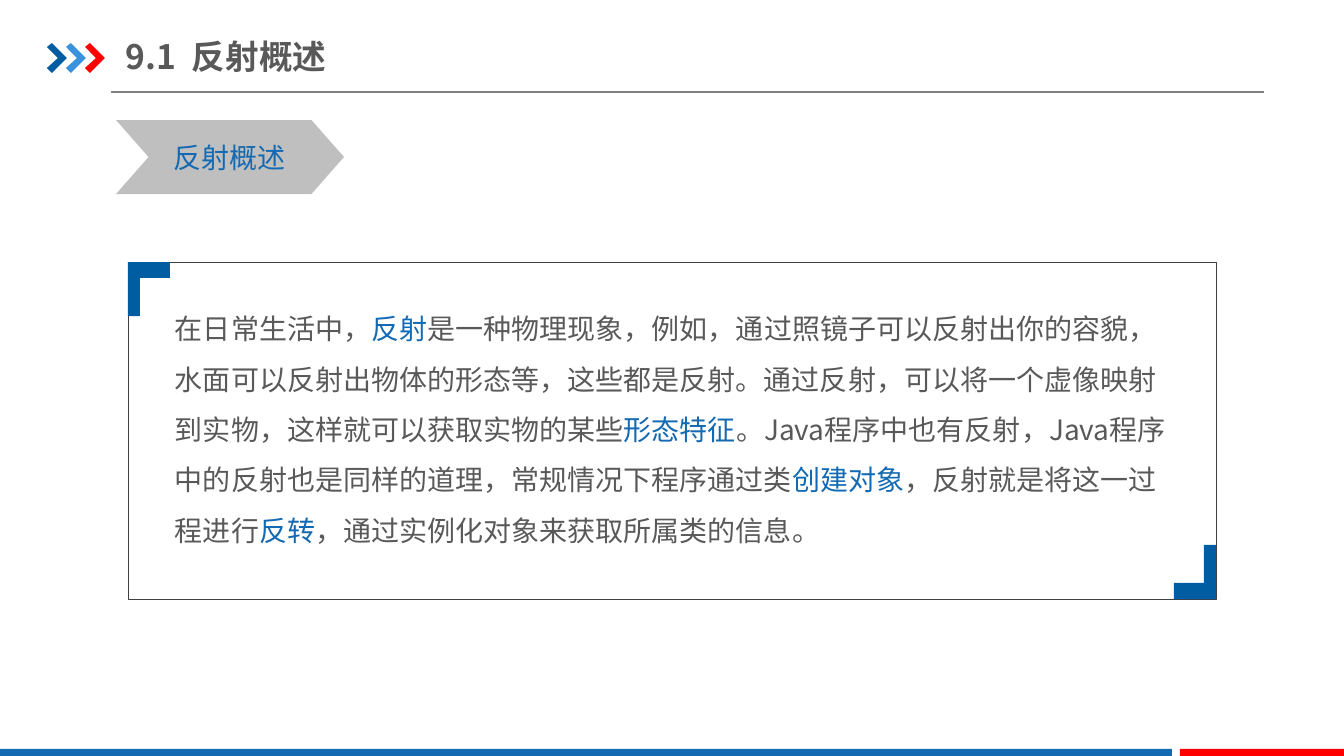
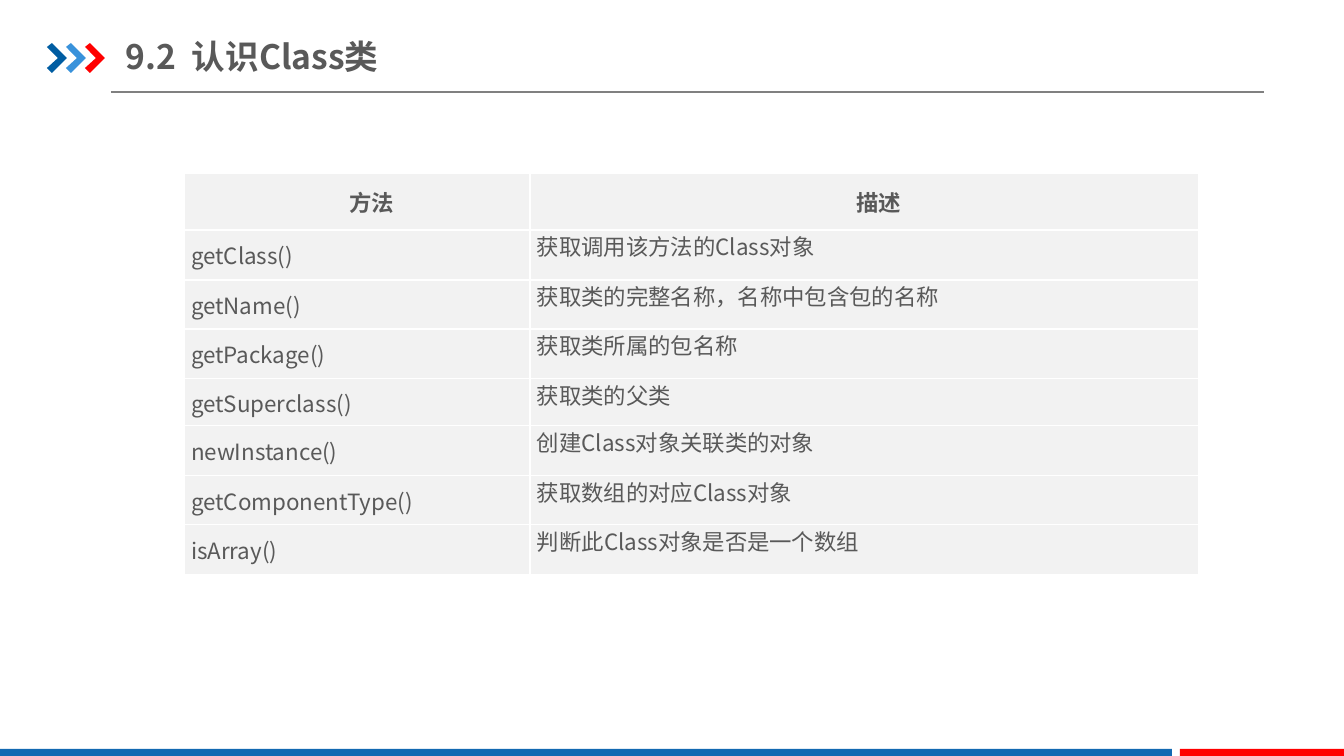
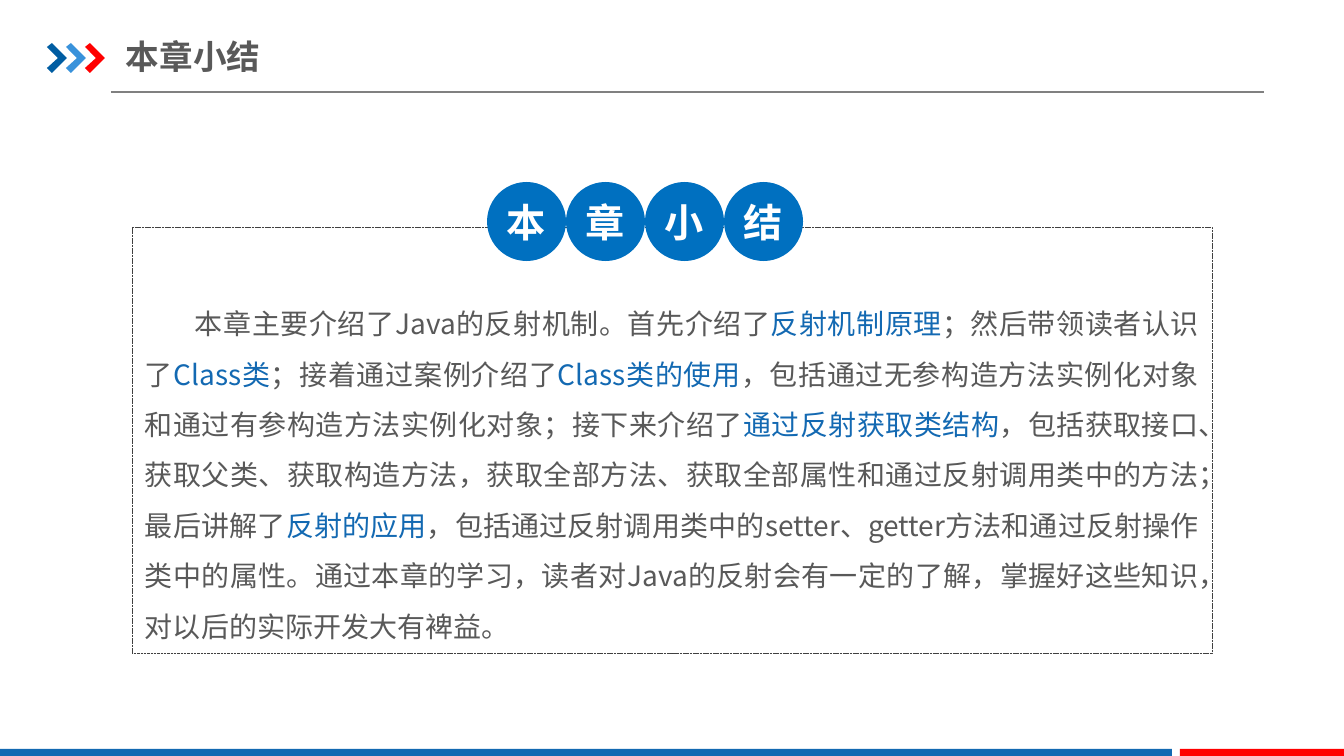
from pptx import Presentation, util as u
from pptx.dml.color import RGBColor
from pptx.enum import dml, shapes, text
from pptx.oxml.ns import qn
from lxml import etree

WIDE, HIGH = 1344, 756
UNIT = 12192000 / WIDE
FONT = "Noto Sans CJK SC"
GRAY, BLUE, NAVY, SKY = "595959", "1369B2", "005DA2", "3992DB"
RED, WHITE, DARK, PALE = "FF0000", "FFFFFF", "404040", "F2F2F2"
RULE, SILVER, DISC = "808080", "BFBFBF", "0070C0"
KIND = shapes.MSO_SHAPE
ALIGN, MID = text.PP_ALIGN, text.MSO_ANCHOR.MIDDLE

TITLES = ["9.1  反射概述", "9.2  认识Class类", "本章小结"]
BARS = [(0, 1172, BLUE), (1180, 164, RED)]
ARROW = [(0, 4), (5, 0), (20, 15), (5, 30), (0, 25), (11, 15)]
CORNER = [(0, 0), (42, 0), (42, 16), (12, 16), (12, 54), (0, 54)]

TOPIC = "反射概述"
INTRO = [
    "在日常生活中，", "反射",
    "是一种物理现象，例如，通过照镜子可以反射出你的容貌，水面可以反射出物体的形态等，"
    "这些都是反射。通过反射，可以将一个虚像映射到实物，这样就可以获取实物的某些",
    "形态特征",
    "。Java程序中也有反射，Java程序中的反射也是同样的道理，常规情况下程序通过类",
    "创建对象", "，反射就是将这一过程进行", "反转",
    "，通过实例化对象来获取所属类的信息。",
]
ROWS = [
    ("方法", "描述"),
    ("getClass()", "获取调用该方法的Class对象"),
    ("getName()", "获取类的完整名称，名称中包含包的名称"),
    ("getPackage()", "获取类所属的包名称"),
    ("getSuperclass()", "获取类的父类"),
    ("newInstance()", "创建Class对象关联类的对象"),
    ("getComponentType()", "获取数组的对应Class对象"),
    ("isArray()", "判断此Class对象是否是一个数组"),
]
COLS = [346, 669]
TALL = [57, 50, 49, 50, 47, 50, 49, 50]
BADGE = "本章小结"
RECAP = [
    "本章主要介绍了Java的反射机制。首先介绍了", "反射机制原理",
    "；然后带领读者认识了", "Class类",
    "；接着通过案例介绍了", "Class类的使用",
    "，包括通过无参构造方法实例化对象和通过有参构造方法实例化对象；接下来介绍了",
    "通过反射获取类结构",
    "，包括获取接口、获取父类、获取构造方法，获取全部方法、获取全部属性和通过反射调用类中的方法；"
    "最后讲解了",
    "反射的应用",
    "，包括通过反射调用类中的setter、getter方法和通过反射操作类中的属性。"
    "通过本章的学习，读者对Java的反射会有一定的了解，掌握好这些知识，对以后的实际开发大有裨益。",
]


def px(n):
    return u.Emu(round(n * UNIT))


def hue(code):
    return RGBColor.from_string(code)


def style(run, size, color=GRAY, bold=False):
    font = run.font
    font.size, font.bold, font.name = u.Pt(size), bold, FONT
    font.color.rgb = hue(color)
    east = etree.SubElement(run._r.get_or_add_rPr(), qn("a:ea"))
    east.set("typeface", FONT)


def inset(item, side, top):
    item.margin_left = item.margin_right = px(side)
    item.margin_top = item.margin_bottom = px(top)


def paint(shape, fill=None, line=None, dash=None):
    shape.shadow.inherit = False
    if fill:
        shape.fill.solid()
        shape.fill.fore_color.rgb = hue(fill)
    else:
        shape.fill.background()
    if line:
        shape.line.color.rgb = hue(line)
        shape.line.width = u.Pt(0.25)
        shape.line.dash_style = dash
    else:
        shape.line.fill.background()
    return shape


def block(slide, kind, box, *look):
    return paint(slide.shapes.add_shape(kind, *map(px, box)), *look)


def outline(slide, dots, fill):
    pen = slide.shapes.build_freeform(*dots[0], scale=UNIT)
    pen.add_line_segments(dots[1:], close=True)
    return paint(pen.convert_to_shape(), fill)


def label(shape, words, size, color, bold=False):
    frame = shape.text_frame
    frame.text = words
    frame.word_wrap = False
    frame.vertical_anchor = MID
    inset(frame, 0, 0)
    para = frame.paragraphs[0]
    para.alignment = ALIGN.CENTER
    style(para.runs[0], size, color, bold)


def indent(para, n):
    props = para._p.get_or_add_pPr()
    props.set("marL", "0")
    props.set("indent", str(px(n)))


def prose(slide, box, pads, parts):
    frame = slide.shapes.add_textbox(*map(px, box)).text_frame
    frame.word_wrap = True
    inset(frame, *pads)
    para = frame.paragraphs[0]
    para.line_spacing = 1.5
    for i, part in enumerate(parts):
        run = para.add_run()
        run.text = part
        style(run, 20, BLUE if i % 2 else GRAY)
    return para


def dress(slide, layout):
    rule = slide.shapes.add_connector(
        shapes.MSO_CONNECTOR.STRAIGHT, px(111), px(92), px(1264), px(92))
    rule.line.color.rgb = hue(RULE)
    rule.line.width = u.Pt(0.75)
    etree.SubElement(rule.element.spPr, qn("a:effectLst"))
    parts = [rule]
    for i, color in enumerate([NAVY, SKY, RED]):
        dots = [(47 + 19 * i + x, 43 + y) for x, y in ARROW]
        parts.append(outline(slide, dots, color))
    for x, w, color in BARS:
        parts.append(block(slide, KIND.RECTANGLE, (x, 749, w, HIGH - 749), color))
    for part in parts:
        layout.shapes.element.append(part.element)


def head(slide, words):
    title = slide.shapes.title
    title.left, title.top, title.width, title.height = map(px, (126, 29, 620, 55))
    frame = title.text_frame
    frame.text = words
    frame.auto_size = text.MSO_AUTO_SIZE.NONE
    frame.vertical_anchor = MID
    inset(frame, 0, 7)
    frame.paragraphs[0].alignment = ALIGN.LEFT
    style(frame.paragraphs[0].runs[0], 24, GRAY, True)


def intro(slide):
    tag = block(slide, KIND.CHEVRON, (116, 120, 228, 74), SILVER)
    tag.adjustments[0] = 0.44
    label(tag, TOPIC, 20, BLUE)
    prose(slide, (165, 290, 1016, 275), (10, 5), INTRO)
    x, y, w, h = box = 128, 262, 1088, 337
    block(slide, KIND.RECTANGLE, box, None, DARK)
    outline(slide, [(x + a, y + b) for a, b in CORNER], NAVY)
    outline(slide, [(x + w - a, y + h - b) for a, b in CORNER], NAVY)


def border(cell):
    props = cell._tc.get_or_add_tcPr()
    for side in ("lnL", "lnR", "lnT", "lnB"):
        edge = etree.SubElement(props, qn("a:" + side), w=str(u.Pt(1)))
        fill = etree.SubElement(edge, qn("a:solidFill"))
        etree.SubElement(fill, qn("a:srgbClr"), val=WHITE)


def methods(slide):
    box = 184, 173, sum(COLS), sum(TALL)
    grid = slide.shapes.add_table(len(ROWS), len(COLS), *map(px, box)).table
    grid.first_row = grid.horz_banding = False
    for col, w in zip(grid.columns, COLS):
        col.width = px(w)
    for row, h in zip(grid.rows, TALL):
        row.height = px(h)
    for r, row in enumerate(ROWS):
        for c, words in enumerate(row):
            cell = grid.cell(r, c)
            border(cell)
            cell.fill.solid()
            cell.fill.fore_color.rgb = hue(PALE)
            inset(cell, 7, 0)
            cell.text = words
            para = cell.text_frame.paragraphs[0]
            if r == 0:
                para.alignment = ALIGN.CENTER
                indent(para, 29)
            if r == 0 or c == 0:
                cell.vertical_anchor = MID
            style(para.runs[0], 16, GRAY, r == 0)


def recap(slide):
    para = prose(slide, (132, 283, 1080, 370), (13, 7), RECAP)
    para.alignment = ALIGN.JUSTIFY
    indent(para, 50)
    block(slide, KIND.RECTANGLE, (132, 227, 1080, 426),
          None, DARK, dml.MSO_LINE.SQUARE_DOT)
    size = 79
    for i, char in enumerate(BADGE):
        disc = block(slide, KIND.OVAL, (487 + size * i, 182, size, size), DISC)
        label(disc, char, 28, WHITE, True)


def main():
    deck = Presentation()
    deck.slide_width, deck.slide_height = px(WIDE), px(HIGH)
    layout = deck.slide_layouts[5]
    for spare in list(layout.placeholders)[1:]:
        layout.shapes.element.remove(spare.element)
    for i, (words, fill) in enumerate(zip(TITLES, (intro, methods, recap))):
        slide = deck.slides.add_slide(layout)
        if i == 0:
            dress(slide, layout)
        head(slide, words)
        fill(slide)
    deck.save("out.pptx")


if __name__ == "__main__":
    main()
